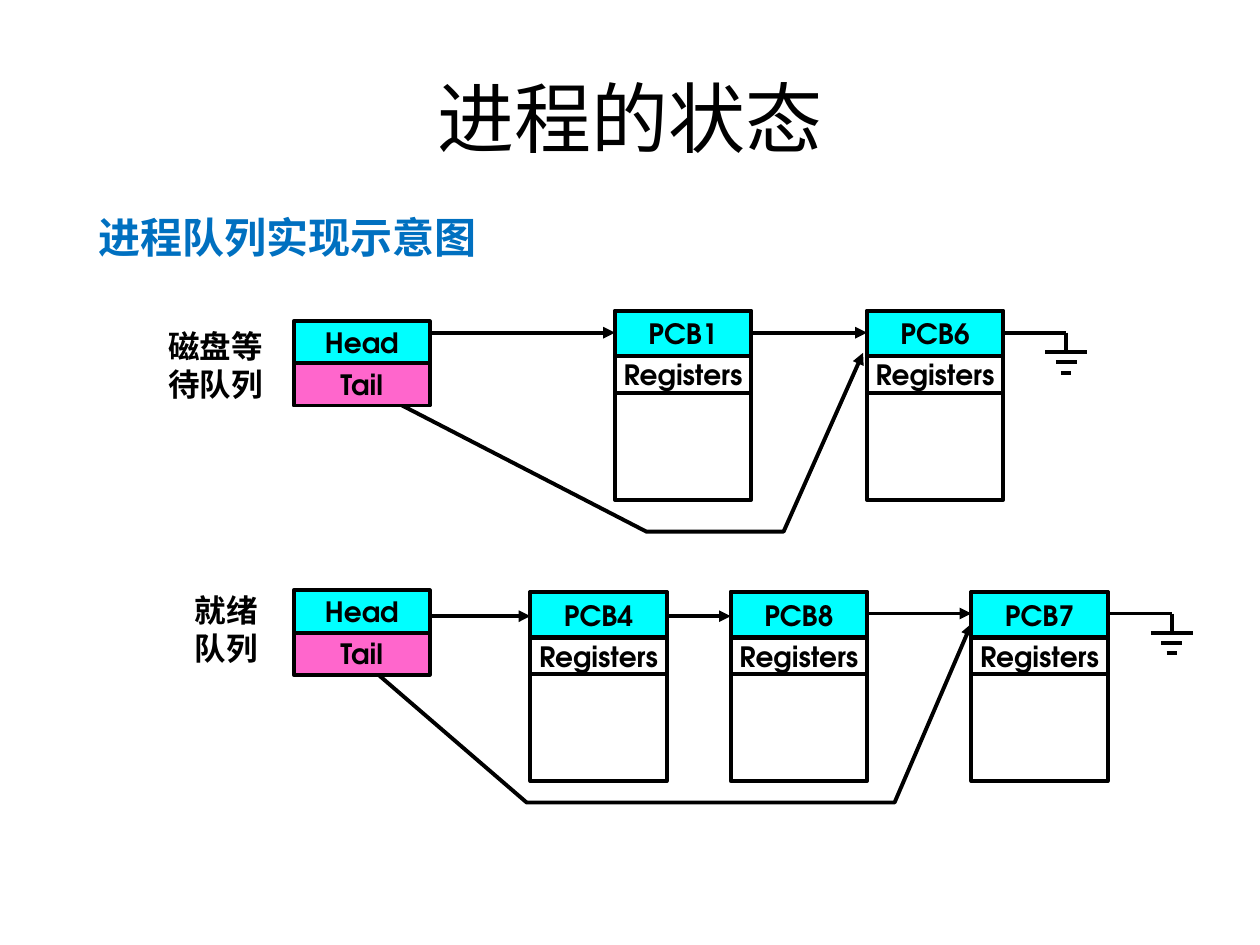
from dataclasses import dataclass

from lxml.etree import SubElement
from pptx import Presentation
from pptx.dml.color import RGBColor
from pptx.enum.shapes import MSO_CONNECTOR, MSO_SHAPE
from pptx.enum.text import MSO_ANCHOR, MSO_AUTO_SIZE, PP_ALIGN
from pptx.oxml.ns import qn
from pptx.util import Pt


@dataclass(frozen=True)
class Theme:
    black: RGBColor = RGBColor(0x00, 0x00, 0x00)
    white: RGBColor = RGBColor(0xFF, 0xFF, 0xFF)
    cyan: RGBColor = RGBColor(0x00, 0xFF, 0xFF)
    pink: RGBColor = RGBColor(0xFF, 0x66, 0xCC)
    blue: RGBColor = RGBColor(0x00, 0x70, 0xC0)
    heading_font: str = "Times New Roman"
    diagram_font: str = "TeX Gyre Adventor"
    title_size: int = 44
    subtitle_size: int = 24
    label_size: int = 18
    box_size: int = 16
    line_width: float = 2.25


theme = Theme()


def write(shape, lines, font_format, align=PP_ALIGN.CENTER):
    """Fill the shape with one formatted paragraph per line."""
    frame = shape.text_frame
    for index, line in enumerate(lines):
        para = frame.paragraphs[0] if index == 0 else frame.add_paragraph()
        para.alignment = align
        span = para.add_run()
        span.text = line
        span.font.color.rgb = font_format["color"]
        for name in ("name", "size", "bold"):
            setattr(span.font, name, font_format[name])


def draw_line(points, arrow=False):
    """Draw a connector through two points, or an open path through more."""
    corners = [(Pt(x), Pt(y)) for x, y in points]
    if len(corners) == 2:
        line = page.shapes.add_connector(MSO_CONNECTOR.STRAIGHT, *corners[0], *corners[1])
    else:
        builder = page.shapes.build_freeform(*corners[0])
        builder.add_line_segments(corners[1:], close=False)
        line = builder.convert_to_shape()
        line.fill.background()
    line.line.color.rgb = theme.black
    line.line.width = Pt(theme.line_width)
    properties = line.element.spPr
    if arrow:
        SubElement(properties.find(qn("a:ln")), qn("a:tailEnd"), type="triangle")
    SubElement(properties, qn("a:effectLst"))


deck = Presentation()
deck.slide_width, deck.slide_height = Pt(720), Pt(540)
page = deck.slides.add_slide(deck.slide_layouts[1])

# Title and subtitle
title, subtitle = page.placeholders
for holder, (left, top, width, height), anchor in (
    (title, (36, 21.6, 648, 90), MSO_ANCHOR.MIDDLE),
    (subtitle, (49, 108.7, 392.4, 42.5), MSO_ANCHOR.TOP),
):
    holder.left, holder.top, holder.width, holder.height = map(Pt, (left, top, width, height))
    holder.text_frame.auto_size = MSO_AUTO_SIZE.NONE
    holder.text_frame.vertical_anchor = anchor

write(title, ["进程的状态"], {
    "name": theme.heading_font, "size": Pt(theme.title_size),
    "bold": False, "color": theme.black})
write(subtitle, ["进程队列实现示意图"], {
    "name": theme.heading_font, "size": Pt(theme.subtitle_size),
    "bold": True, "color": theme.blue}, PP_ALIGN.LEFT)
para = subtitle.text_frame.paragraphs[0]
para.line_spacing = 1.3
para.space_before = Pt(0)
indents = para._p.get_or_add_pPr()
indents.set("marL", "0")
indents.set("indent", "0")
SubElement(indents, qn("a:buNone"))

# Queues: each has a head and tail box, control blocks and a ground symbol
box_width, block_height = 77.8, 108
name_height, register_height, pointer_height = 25.9, 20.9, 24.1
pointer_left = 167.8
queues = [
    {
        "label": ["磁盘等待队列"], "label_area": (87.1, 183.6, 72, 50.4),
        "pointer_top": 183.6, "block_top": 177.8,
        "blocks": {"PCB1": 351.4, "PCB6": 495.4},
        "links": [190.1, 190.1],
        "tail_path": [(195.1, 213.8), (369.4, 303.8), (447.8, 303.8), (493.2, 201.6)],
        "ground": (609.3, 190.1),
    },
    {
        "label": ["就绪", "队列"], "label_area": (99.4, 334.1, 59.8, 50.4),
        "pointer_top": 337.4, "block_top": 338.4,
        "blocks": {"PCB4": 303.1, "PCB8": 417.6, "PCB7": 555.1},
        "links": [352.1, 352.1, 350.6],
        "tail_path": [(207.4, 378), (301, 458.6), (511.2, 458.6), (555.1, 356.4)],
        "ground": (669.6, 350.6),
    },
]
box_font = {"name": theme.diagram_font, "size": Pt(theme.box_size),
            "bold": True, "color": theme.black}
label_font = {**box_font, "size": Pt(theme.label_size)}

for queue in queues:
    lefts = list(queue["blocks"].values())
    starts = [pointer_left + box_width] + [left + box_width for left in lefts]

    for start, end, link_y in zip(starts, lefts, queue["links"]):
        draw_line([(start, link_y), (end, link_y)], arrow=True)
    draw_line(queue["tail_path"], arrow=True)

    # Left, top, height, fill and text of every box in the queue
    pointer_top, block_top = queue["pointer_top"], queue["block_top"]
    boxes = [
        (pointer_left, pointer_top, pointer_height, theme.cyan, "Head"),
        (pointer_left, pointer_top + pointer_height, pointer_height, theme.pink, "Tail"),
    ]
    for name, left in queue["blocks"].items():
        boxes += [
            (left, block_top, block_height, theme.white, ""),
            (left, block_top, name_height, theme.cyan, name),
            (left, block_top + name_height, register_height, theme.white, "Registers"),
        ]
    for left, top, height, fill, text in boxes:
        box = page.shapes.add_shape(
            MSO_SHAPE.RECTANGLE, Pt(left), Pt(top), Pt(box_width), Pt(height))
        box.shadow.inherit = False
        box.fill.solid()
        box.fill.fore_color.rgb = fill
        box.line.color.rgb = theme.black
        box.line.width = Pt(theme.line_width)
        if text:
            frame_format = {"word_wrap": False, "vertical_anchor": MSO_ANCHOR.MIDDLE,
                            "margin_top": 0, "margin_bottom": 0}
            for name, value in frame_format.items():
                setattr(box.text_frame, name, value)
            write(box, [text], box_font)

    # Ground symbol: lead, drop and three shrinking bars
    ground_x, ground_y = queue["ground"]
    drop = 11.2
    draw_line([(starts[-1], ground_y), (ground_x, ground_y)])
    draw_line([(ground_x, ground_y), (ground_x, ground_y + drop)])
    for step, half_width in enumerate((12, 6, 3)):
        bar_y = ground_y + drop + step * 5.8
        draw_line([(ground_x - half_width, bar_y), (ground_x + half_width, bar_y)])

    label = page.shapes.add_textbox(*map(Pt, queue["label_area"]))
    label.text_frame.word_wrap = True
    write(label, queue["label"], label_font)

deck.save("out.pptx")
